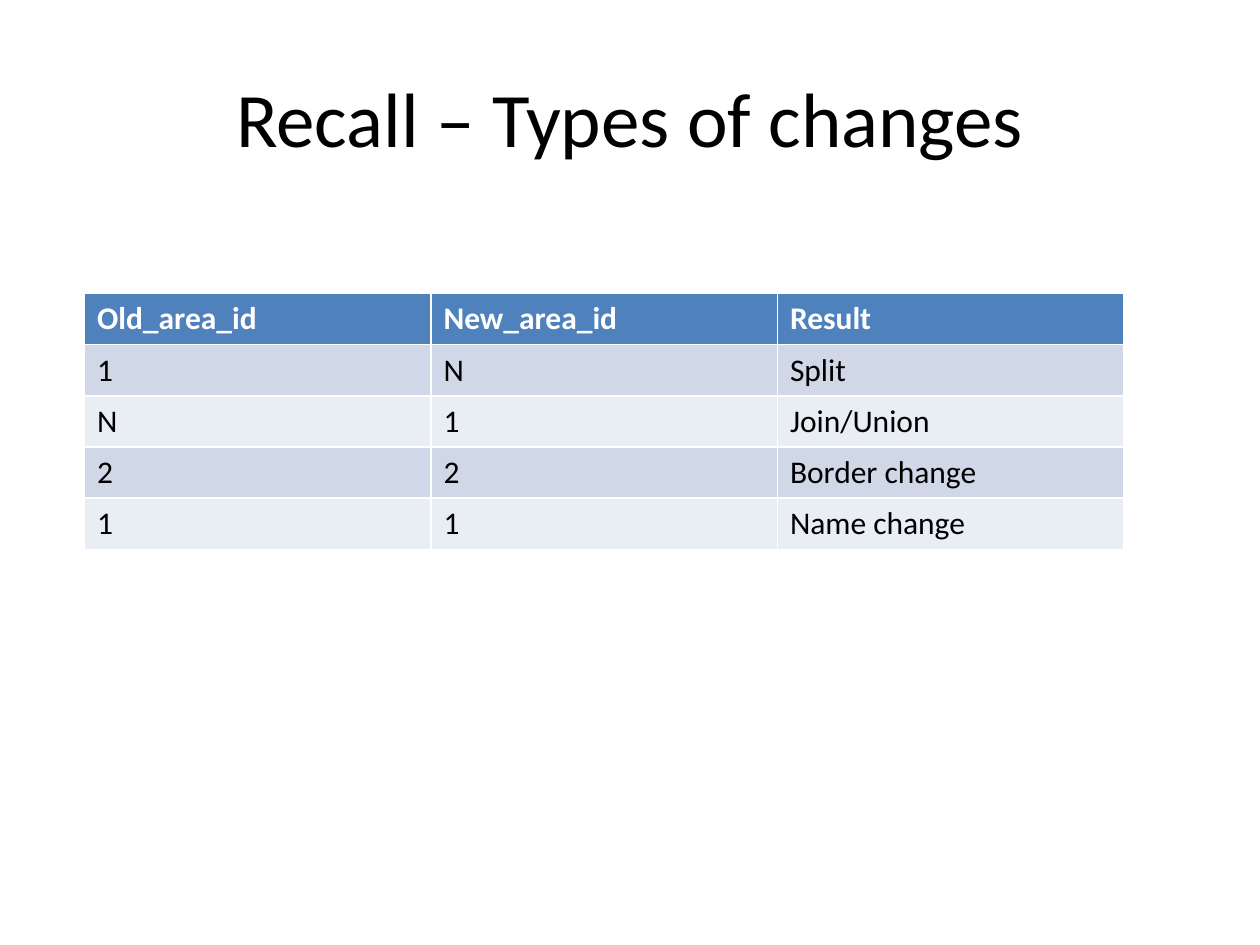
from pptx import Presentation
from pptx.dml.color import RGBColor
from pptx.enum.text import MSO_ANCHOR, PP_ALIGN
from pptx.util import Inches, Pt

MID = MSO_ANCHOR.MIDDLE
CENTER = PP_ALIGN.CENTER
TITLE_ONLY = 5

BLACK = RGBColor(0x00, 0x00, 0x00)
WHITE = RGBColor(0xFF, 0xFF, 0xFF)
BLUE = RGBColor(0x4F, 0x81, 0xBD)
BANDS = (RGBColor(0xE9, 0xED, 0xF4), RGBColor(0xD0, 0xD8, 0xE8))

TITLE = {"name": "Calibri", "size": Pt(44), "bold": False}
HEAD = {"name": "Calibri", "size": Pt(18), "bold": True}
BODY = {**HEAD, "bold": False}

ROWS = (
    ("Old_area_id", "New_area_id", "Result"),
    ("1", "N", "Split"),
    ("N", "1", "Join/Union"),
    ("2", "2", "Border change"),
    ("1", "1", "Name change"),
)


def style(item, values):
    for key, value in values.items():
        setattr(item, key, value)


def write(frame, text, form, color):
    para = frame.paragraphs[0]
    run = para.add_run()
    run.text = text
    style(run.font, form)
    run.font.color.rgb = color
    return para


def add_title(slide, text):
    title = slide.shapes.title
    style(title, {"left": Inches(0.5), "top": Inches(0.3),
                  "width": Inches(9), "height": Inches(1.25)})
    title.text_frame.vertical_anchor = MID
    write(title.text_frame, text, TITLE, BLACK).alignment = CENTER


def add_grid(slide, rows):
    shape = slide.shapes.add_table(
        len(rows), len(rows[0]), Inches(0.67), Inches(2.33),
        Inches(8.25), Inches(2.03))
    for r, row in enumerate(rows):
        form, color, fill = (
            (BODY, BLACK, BANDS[r % 2]) if r else (HEAD, WHITE, BLUE))
        for c, text in enumerate(row):
            cell = shape.table.cell(r, c)
            cell.fill.solid()
            cell.fill.fore_color.rgb = fill
            write(cell.text_frame, text, form, color)


def main():
    deck = Presentation()
    style(deck, {"slide_width": Inches(10), "slide_height": Inches(7.5)})
    slide = deck.slides.add_slide(deck.slide_layouts[TITLE_ONLY])
    add_title(slide, "Recall – Types of changes")
    add_grid(slide, ROWS)
    deck.save("out.pptx")


main()
